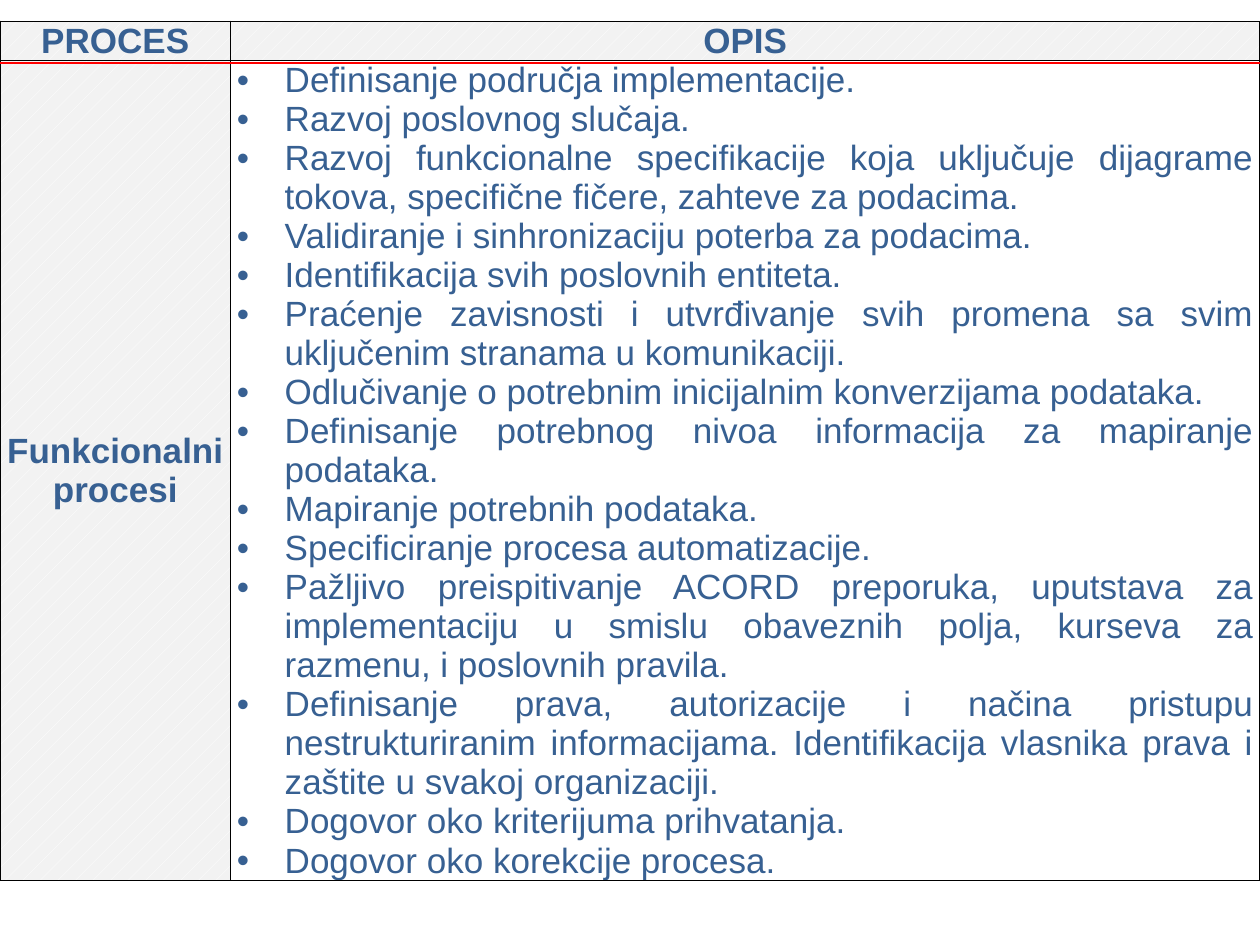
from lxml.etree import SubElement
from pptx import Presentation
from pptx.dml.color import RGBColor
from pptx.enum.dml import MSO_PATTERN
from pptx.enum.shapes import MSO_CONNECTOR
from pptx.enum.text import MSO_ANCHOR, PP_ALIGN
from pptx.oxml.ns import qn
from pptx.util import Inches, Pt

COLORS = {"text": "376092", "border": "000000", "rule": "FF0000",
          "hatch": "FFFFFF", "shade": "F2F2F2"}
FONT = "Arial"
COLUMN_WIDTHS = (1.83, 8.17)
ROW_HEIGHTS = (0.31, 6.5)
HANGING = Inches(0.38)

DESCRIPTION = [
    "Definisanje područja implementacije.",
    "Razvoj poslovnog slučaja.",
    "Razvoj funkcionalne specifikacije koja uključuje dijagrame tokova, "
    "specifične fičere, zahteve za podacima.",
    "Validiranje i sinhronizaciju poterba za podacima.",
    "Identifikacija svih poslovnih entiteta.",
    "Praćenje zavisnosti i utvrđivanje svih promena sa svim uključenim "
    "stranama u komunikaciji.",
    "Odlučivanje o potrebnim inicijalnim konverzijama podataka.",
    "Definisanje potrebnog nivoa informacija za mapiranje podataka.",
    "Mapiranje potrebnih podataka.",
    "Specificiranje procesa automatizacije.",
    "Pažljivo preispitivanje ACORD preporuka, uputstava za implementaciju "
    "u smislu obaveznih polja, kurseva za razmenu, i poslovnih pravila.",
    "Definisanje prava, autorizacije i načina pristupu nestrukturiranim "
    "informacijama. Identifikacija vlasnika prava i zaštite u svakoj organizaciji.",
    "Dogovor oko kriterijuma prihvatanja.",
    "Dogovor oko korekcije procesa.",
]


def rgb(name):
    return RGBColor.from_string(COLORS[name])


def add_borders(cell):
    properties = cell._tc.get_or_add_tcPr()
    for side in ("lnL", "lnR", "lnT", "lnB"):
        line = SubElement(properties, qn(f"a:{side}"), w=str(Pt(1)))
        fill = SubElement(line, qn("a:solidFill"))
        SubElement(fill, qn("a:srgbClr"), val=COLORS["border"])


def add_bullet(paragraph):
    properties = paragraph._p.get_or_add_pPr()
    properties.set("marL", str(HANGING))
    properties.set("indent", str(-HANGING))
    SubElement(properties, qn("a:buFont"), typeface=FONT)
    SubElement(properties, qn("a:buChar"), char="•")


def write_cell(cell, lines, heading):
    """Fill a cell with shaded, centred headings or with justified bullets."""
    add_borders(cell)
    cell.margin_left = cell.margin_right = Inches(0.05)
    cell.margin_top = cell.margin_bottom = 0
    if heading:
        cell.vertical_anchor = MSO_ANCHOR.MIDDLE
        cell.fill.patterned()
        cell.fill.pattern = MSO_PATTERN.PERCENT_5
        cell.fill.fore_color.rgb = rgb("hatch")
        cell.fill.back_color.rgb = rgb("shade")
    else:
        cell.vertical_anchor = MSO_ANCHOR.TOP
        cell.fill.background()
    frame = cell.text_frame
    for index, text in enumerate(lines):
        paragraph = frame.add_paragraph() if index else frame.paragraphs[0]
        paragraph.alignment = PP_ALIGN.CENTER if heading else PP_ALIGN.JUSTIFY
        if not heading:
            add_bullet(paragraph)
        run = paragraph.add_run()
        run.text = text
        run.font.name = FONT
        run.font.size = Pt(20)
        run.font.bold = heading
        run.font.color.rgb = rgb("text")


def add_process_table(slide, left, top, width, height):
    table = slide.shapes.add_table(2, 2, left, top, width, height).table
    table.first_row = table.horz_banding = False
    for column, column_width in zip(table.columns, COLUMN_WIDTHS):
        column.width = Inches(column_width)
    for row, row_height in zip(table.rows, ROW_HEIGHTS):
        row.height = Inches(row_height)
    write_cell(table.cell(0, 0), ["PROCES"], heading=True)
    write_cell(table.cell(0, 1), ["OPIS"], heading=True)
    write_cell(table.cell(1, 0), ["Funkcionalni", "procesi"], heading=True)
    write_cell(table.cell(1, 1), DESCRIPTION, heading=False)


def add_rule(slide, left, top, width):
    rule = slide.shapes.add_connector(
        MSO_CONNECTOR.STRAIGHT, left, top, left + width, top)
    rule.line.color.rgb = rgb("rule")
    rule.line.width = Pt(0.75)
    SubElement(rule._element.spPr, qn("a:effectLst"))


def main():
    presentation = Presentation()
    presentation.slide_width = Inches(10)
    presentation.slide_height = Inches(7.5)
    slide = presentation.slides.add_slide(presentation.slide_layouts[6])
    add_process_table(slide, 0, Inches(0.17), presentation.slide_width,
                      Inches(sum(ROW_HEIGHTS)))
    add_rule(slide, 0, Inches(0.5), presentation.slide_width)
    presentation.save("out.pptx")


if __name__ == "__main__":
    main()
